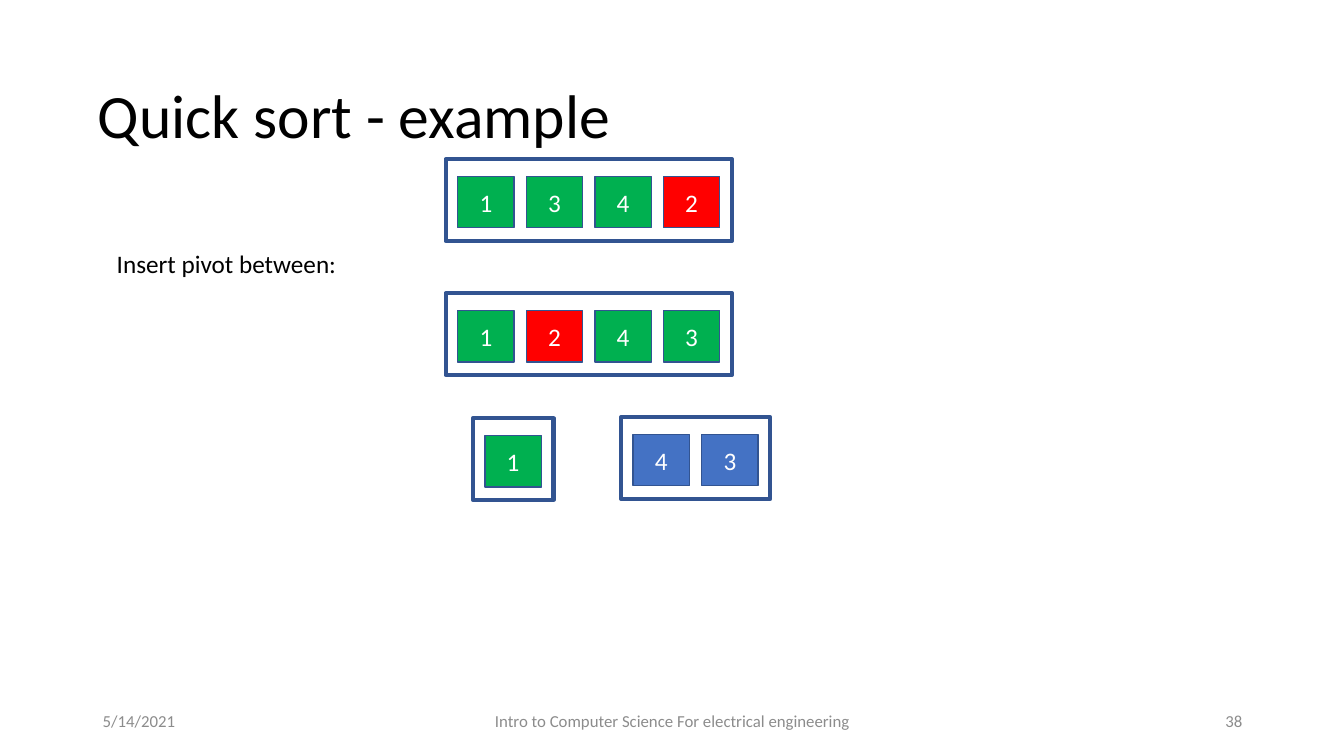
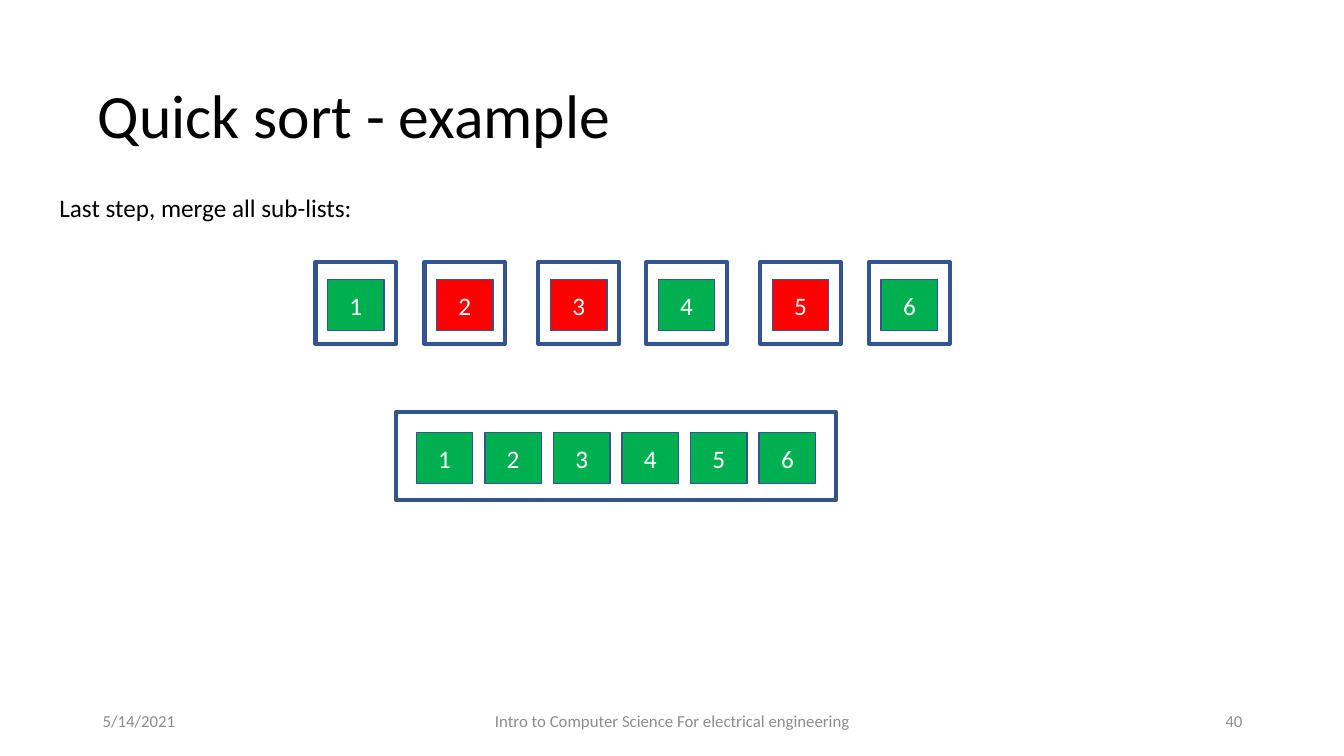
from dataclasses import dataclass
from typing import NamedTuple

from pptx import Presentation
from pptx.dml.color import RGBColor as Rgb
from pptx.enum.shapes import MSO_SHAPE as Kind
from pptx.enum.text import MSO_ANCHOR as Anchor, MSO_AUTO_SIZE as Fit, PP_ALIGN as Align
from pptx.slide import Slide, SlideLayout
from pptx.text.text import TextFrame
from pptx.util import Inches, Pt


@dataclass(frozen=True)
class Theme:
    """Colours, type sizes and line widths of the deck."""
    font: str = "Calibri"
    ink: str = "000000"
    mute: str = "8C8C8C"
    white: str = "FFFFFF"
    edge: str = "325491"
    green: str = "00B050"
    red: str = "FF0000"
    blue: str = "4472C4"
    head: float = 44
    text: float = 18
    foot: float = 12
    thick: float = 3
    thin: float = 1


class Box(NamedTuple):
    """Place and size in inches."""
    left: float
    top: float
    wide: float
    high: float


class Group(NamedTuple):
    """A framed run of tiles, with one fill letter per digit."""
    left: float
    top: float
    digits: str
    fills: str
    side: float = 0.12
    gap: float = 0.15


class Note(NamedTuple):
    """A line of text beside the groups."""
    box: Box
    text: str


class Page(NamedTuple):
    """The content of one slide."""
    number: int
    note: Note
    groups: list[Group]


class Foot(NamedTuple):
    """One part of the footer."""
    left: float
    wide: float
    align: Align
    text: str


THEME = Theme()
FILLS = {"g": THEME.green, "r": THEME.red, "b": THEME.blue}
TITLE = "Quick sort - example"
HEAD = Box(0.87, 0.45, 11.5, 1.45)
TILE_W, TILE_H, PITCH, DROP = 0.56, 0.51, 0.68, 0.02
FOOT_TOP, FOOT_H = 6.95, 0.4
FEET = [
    Foot(0.92, 3, Align.LEFT, "5/14/2021"),
    Foot(4.42, 4.5, Align.CENTER, "Intro to Computer Science For electrical engineering"),
    Foot(9.42, 3, Align.RIGHT, "{number}"),
]
LISTS = zip((3.13, 4.21, 5.34, 6.41, 7.54, 8.62), "123456", "grrgrg")
PAGES = [
    Page(38, Note(Box(1.06, 2.41, 2.4, 0.4), "Insert pivot between:"), [
        Group(4.42, 1.58, "1342", "gggr"),
        Group(4.42, 2.91, "1243", "grgg"),
        Group(4.69, 4.15, "1", "g"),
        Group(6.16, 4.14, "43", "bb"),
    ]),
    Page(40, Note(Box(0.49, 1.86, 3.14, 0.4), "Last step, merge all sub-lists:"), [
        *(Group(left, 2.6, digit, fill) for left, digit, fill in LISTS),
        Group(3.93, 4.09, "123456", "gggggg", 0.2, 0.18),
    ]),
]


def write(frame: TextFrame, text: str, size: float, hue: str,
          align: Align = Align.LEFT, anchor: Anchor = Anchor.MIDDLE) -> None:
    """Fill a text frame with one styled run."""
    frame.word_wrap = True
    frame.auto_size = Fit.NONE
    frame.vertical_anchor = anchor
    par = frame.paragraphs[0]
    par.alignment = align
    run = par.add_run()
    run.text = text
    run.font.name = THEME.font
    run.font.size = Pt(size)
    run.font.color.rgb = Rgb.from_string(hue)


def add_text(slide: Slide, box: Box, text: str, size: float, hue: str,
             align: Align = Align.LEFT, anchor: Anchor = Anchor.MIDDLE) -> None:
    """Add a text box."""
    shape = slide.shapes.add_textbox(*map(Inches, box))
    write(shape.text_frame, text, size, hue, align, anchor)


def add_rect(slide: Slide, box: Box, width: float, fill: str = "", text: str = "") -> None:
    """Add an outlined rectangle, filled and labelled on demand."""
    shape = slide.shapes.add_shape(Kind.RECTANGLE, *map(Inches, box))
    shape.shadow.inherit = False
    shape.line.color.rgb = Rgb.from_string(THEME.edge)
    shape.line.width = Pt(width)
    if fill:
        shape.fill.solid()
        shape.fill.fore_color.rgb = Rgb.from_string(fill)
    else:
        shape.fill.background()
    if text:
        write(shape.text_frame, text, THEME.text, THEME.white, Align.CENTER)


def add_group(slide: Slide, group: Group) -> None:
    """Add a frame and its evenly pitched tiles."""
    wide = 2 * group.side + TILE_W + PITCH * (len(group.digits) - 1)
    high = 2 * group.gap + TILE_H
    add_rect(slide, Box(group.left, group.top, wide, high), THEME.thick)
    left, top = group.left + group.side, group.top + group.gap + DROP
    for col, (digit, fill) in enumerate(zip(group.digits, group.fills)):
        tile = Box(left + col * PITCH, top, TILE_W, TILE_H)
        add_rect(slide, tile, THEME.thin, FILLS[fill], digit)


def add_base(slide: Slide, number: int) -> None:
    """Add the shared title and footer."""
    title = slide.shapes.title
    title.left, title.top, title.width, title.height = map(Inches, HEAD)
    write(title.text_frame, TITLE, THEME.head, THEME.ink)
    title.text_frame.paragraphs[0].line_spacing = 0.9
    for foot in FEET:
        box = Box(foot.left, FOOT_TOP, foot.wide, FOOT_H)
        add_text(slide, box, foot.text.format(number=number),
                 THEME.foot, THEME.mute, foot.align)


def add_page(deck: Presentation, layout: SlideLayout, page: Page) -> None:
    """Add one slide with its note and groups."""
    slide = deck.slides.add_slide(layout)
    add_base(slide, page.number)
    for group in page.groups:
        add_group(slide, group)
    add_text(slide, page.note.box, page.note.text, THEME.text, THEME.ink, anchor=Anchor.TOP)


def main() -> None:
    """Build and save the deck."""
    deck = Presentation()
    deck.slide_width, deck.slide_height = Inches(13.33), Inches(7.5)
    layout = deck.slide_layouts.get_by_name("Title Only")
    for page in PAGES:
        add_page(deck, layout, page)
    deck.save("out.pptx")


if __name__ == "__main__":
    main()
